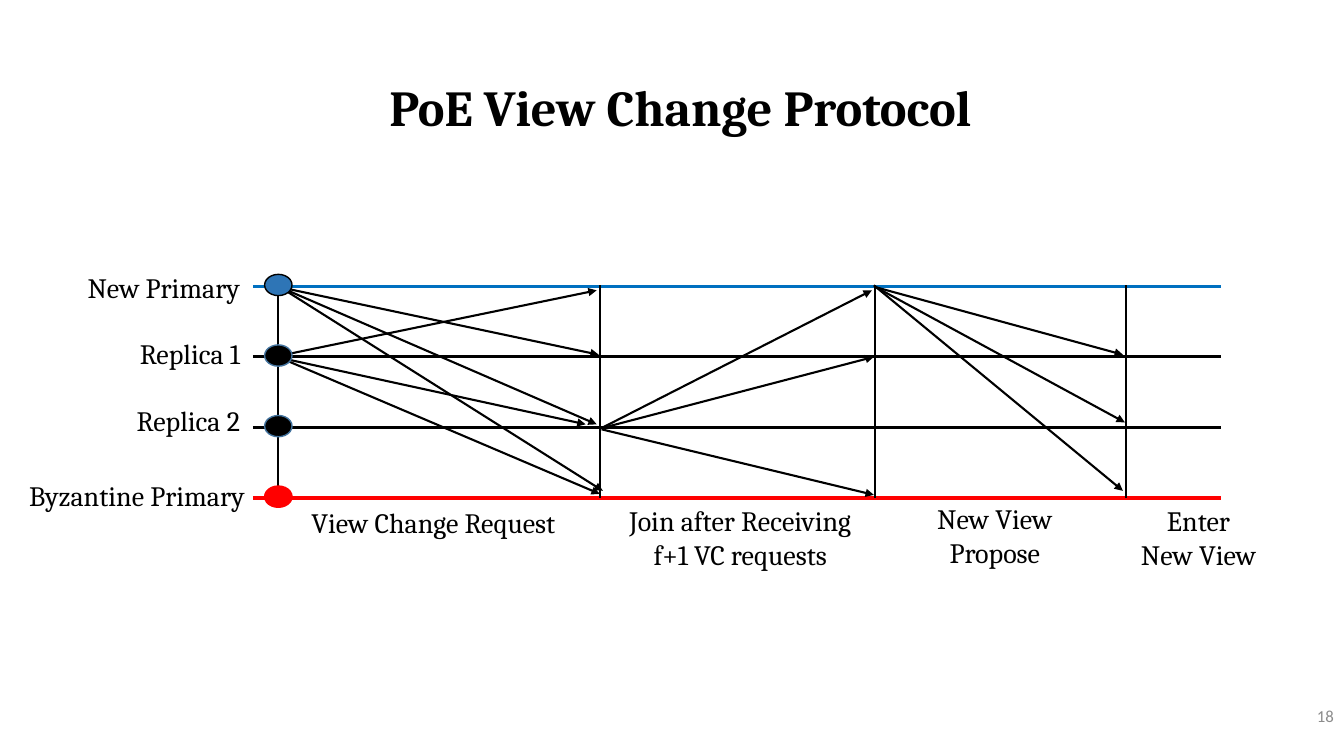
"""Build the PoE view change protocol slide."""
from lxml import etree
from pptx import Presentation
from pptx.dml.color import RGBColor
from pptx.enum.shapes import MSO_CONNECTOR, MSO_SHAPE
from pptx.enum.text import MSO_ANCHOR, PP_ALIGN
from pptx.oxml.ns import qn
from pptx.util import Pt

COLORS = {"black": "000000", "blue": "0070C0", "red": "FF0000", "primary": "2E75B6",
          "outline": "43739E", "gray": "8C8C8C"}

deck = Presentation()
deck.slide_width, deck.slide_height = Pt(960), Pt(540)
slide = deck.slides.add_slide(deck.slide_layouts[5])


def add_line(start, end, color, weight, arrow=False):
    line = slide.shapes.add_connector(MSO_CONNECTOR.STRAIGHT, *map(Pt, (*start, *end)))
    line.line.color.rgb = RGBColor.from_string(COLORS[color])
    line.line.width = Pt(weight)
    if arrow:
        etree.SubElement(line.line._get_or_add_ln(), qn("a:tailEnd"), type="triangle")
    etree.SubElement(line._element.spPr, qn("a:effectLst"))


def write(box, lines, align, size=20, font="Cambria", color="black", bold=False):
    frame = box.text_frame
    frame.word_wrap = True
    for index, words in enumerate(lines):
        paragraph = frame.paragraphs[0] if index == 0 else frame.add_paragraph()
        paragraph.alignment = align
        run = paragraph.add_run()
        run.text = words
        run.font.size, run.font.name, run.font.bold = Pt(size), font, bold
        run.font.color.rgb = RGBColor.from_string(COLORS[color])
    return frame


title = slide.shapes.title
title.left, title.top, title.width, title.height = Pt(72), Pt(44), Pt(828), Pt(56)
title_frame = write(title, ["PoE View Change Protocol"], PP_ALIGN.CENTER, 36, bold=True)
title_frame.vertical_anchor = MSO_ANCHOR.MIDDLE
title_frame.paragraphs[0].line_spacing = 1.2

FIRST_ROW, ROW_GAP = 204.5, 50.4
participants = [
    ("New Primary", 178.6, 189.4, "blue", "primary", "black"),
    ("Replica 1", 178.6, 236.9, "black", "black", "outline"),
    ("Replica 2", 178.6, 284.4, "black", "black", "outline"),
    ("Byzantine Primary", 182, 338.4, "red", "red", "red"),
]
for row, (name, label_right, label_top, lane, fill, outline) in enumerate(participants):
    y = FIRST_ROW + row * ROW_GAP
    add_line((180.7, y), (872, y), lane, 2.25)
    label = slide.shapes.add_textbox(Pt(0), Pt(label_top), Pt(label_right), Pt(31.5))
    write(label, [name], PP_ALIGN.RIGHT)

for phase_x in (198.7, 428.4, 625, 804.2):
    add_line((phase_x, 203.8), (phase_x, 355.5), "black", 1.75)

messages = [
    ((200.2, 205.2), (427.7, 253.4)),
    ((200.2, 205.2), (426.2, 303.1)),
    ((198, 203.8), (430.6, 350.6)),
    ((199.4, 254.2), (426.2, 207.4)),
    ((200.2, 255.6), (418.3, 303.1)),
    ((200.2, 255.6), (428.4, 352.8)),
    ((430.6, 305.3), (622.8, 207.4)),
    ((429.1, 306), (624.2, 254.9)),
    ((429.8, 306.7), (624.2, 353.5)),
    ((625.7, 205.2), (802.1, 253.4)),
    ((625.7, 205.2), (803.5, 301.7)),
    ((624.2, 203.8), (802.1, 350.6)),
]
for sender, receiver in messages:
    add_line(sender, receiver, "black", 1.5, arrow=True)

phases = [
    (198.7, 357.8, 221.8, ["View Change Request"]),
    (426.2, 356.4, 205.2, ["Join after Receiving", "f+1 VC requests"]),
    (655.9, 355, 109.4, ["New View", "Propose"]),
    (801.4, 356.4, 109.4, ["Enter", "New View"]),
]
for left, top, width, lines in phases:
    caption = slide.shapes.add_textbox(Pt(left), Pt(top), Pt(width), Pt(31.5 if len(lines) == 1 else 55.5))
    write(caption, lines, PP_ALIGN.CENTER)

for row, (name, label_right, label_top, lane, fill, outline) in enumerate(participants):
    node = slide.shapes.add_shape(MSO_SHAPE.OVAL, Pt(189), Pt(196 + row * ROW_GAP), Pt(19.6), Pt(15.2))
    node.shadow.inherit = False
    node.fill.solid()
    node.fill.fore_color.rgb = RGBColor.from_string(COLORS[fill])
    node.line.color.rgb = RGBColor.from_string(COLORS[outline])
    node.line.width = Pt(1)

page_number = slide.shapes.add_textbox(Pt(837.4), Pt(496.8), Pt(122.4), Pt(28.8))
page_frame = write(page_number, ["18"], PP_ALIGN.RIGHT, 12, "Calibri", "gray")
page_frame.vertical_anchor = MSO_ANCHOR.MIDDLE

deck.save("out.pptx")
